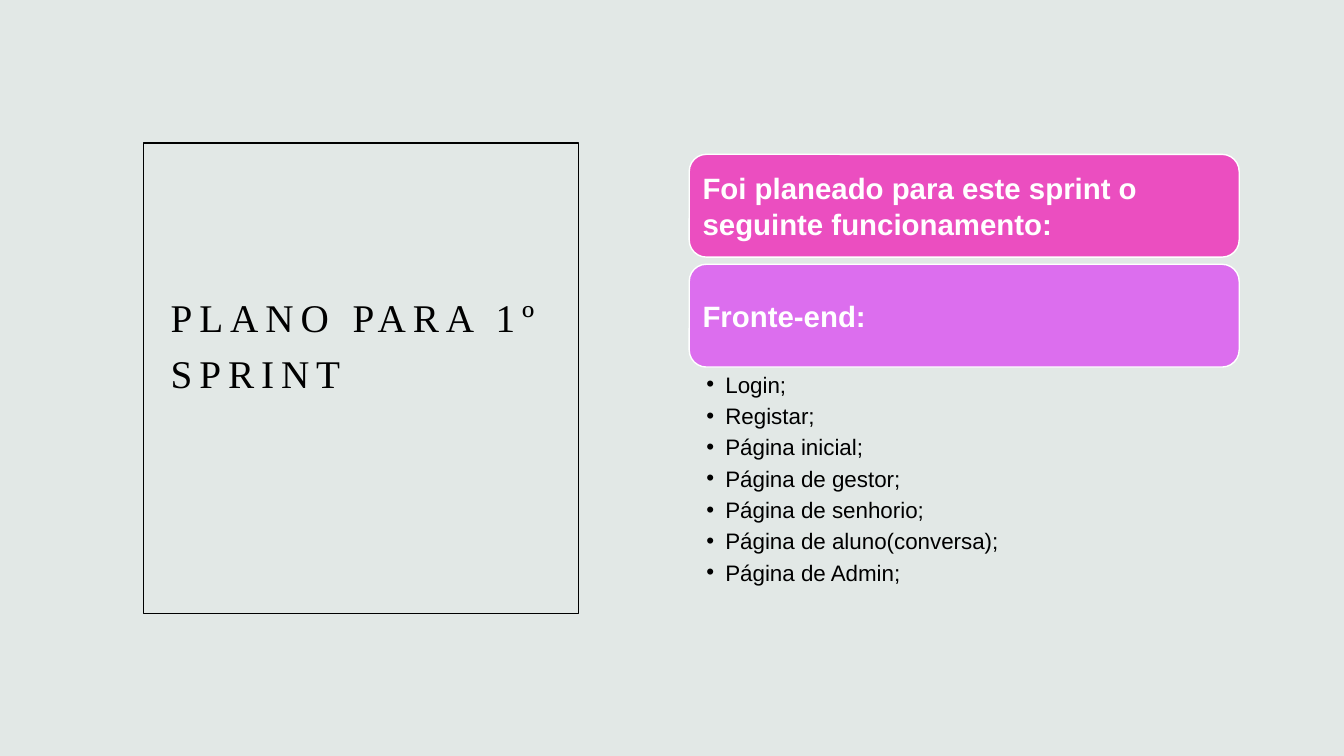
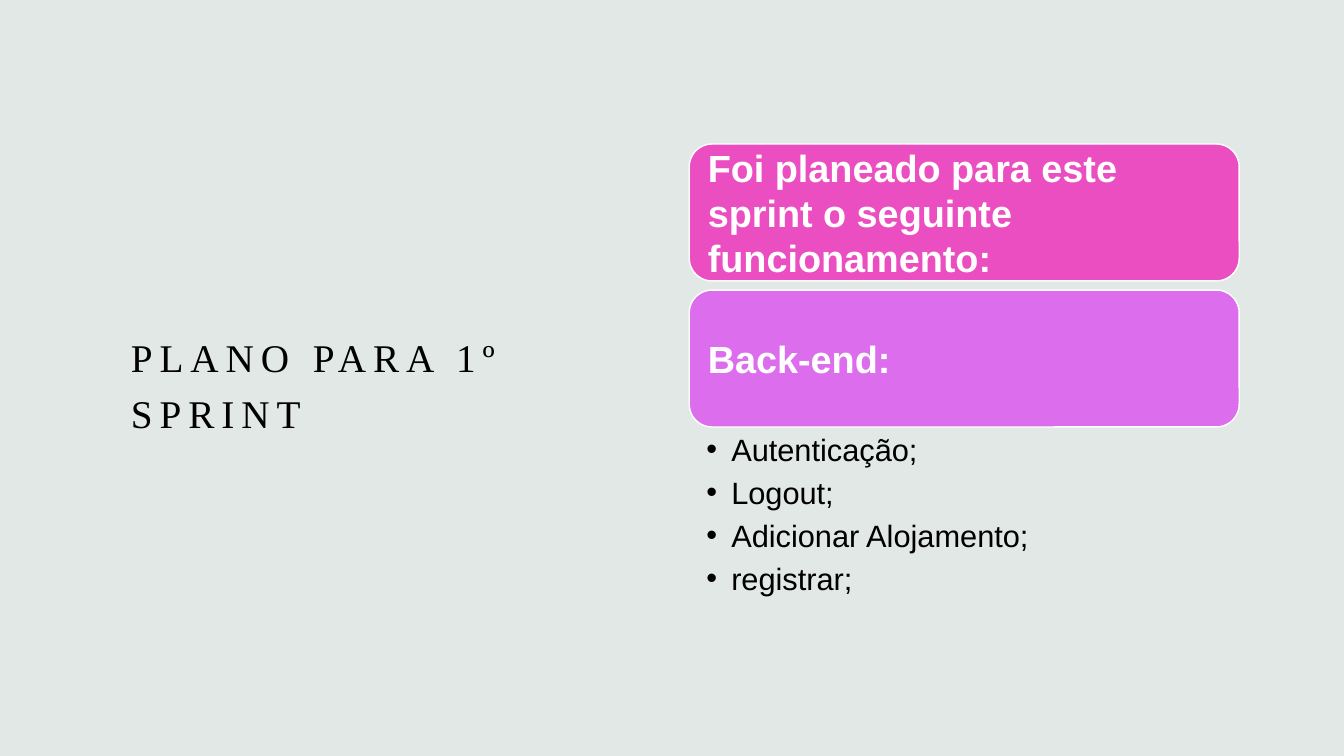
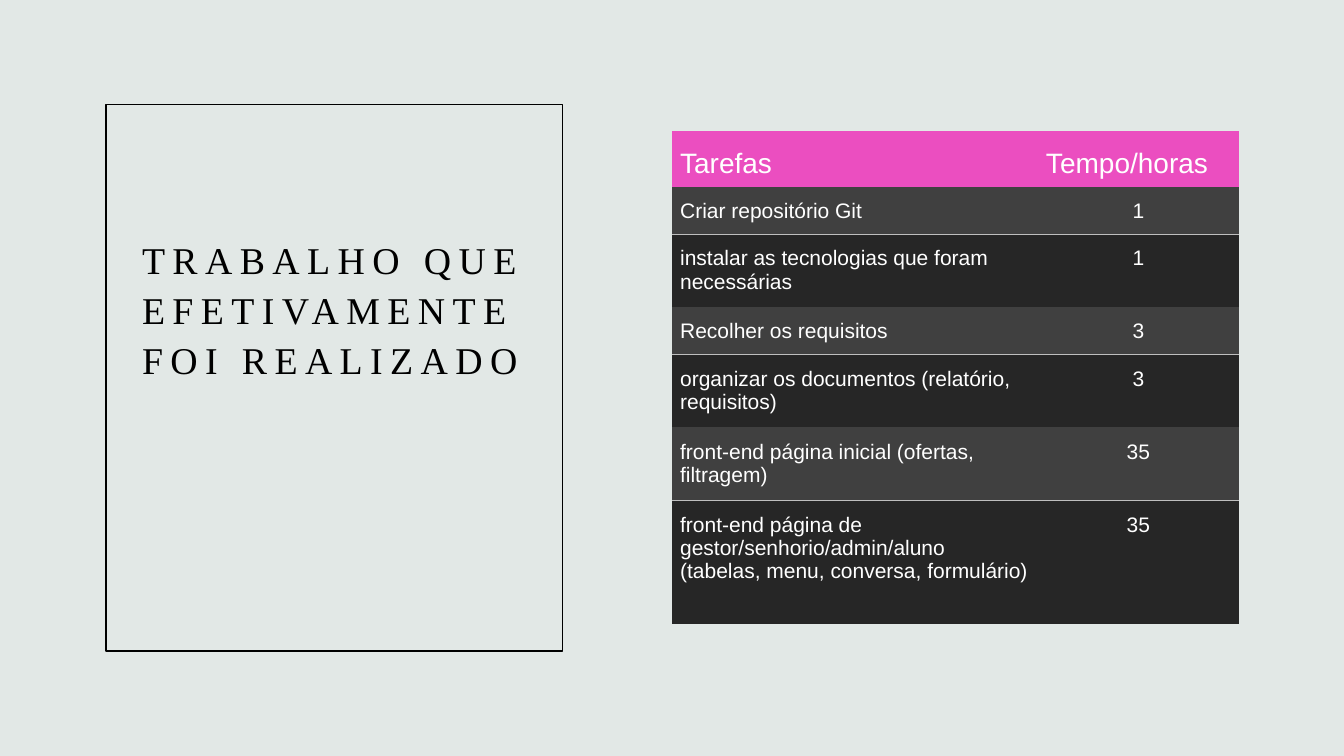
from dataclasses import dataclass

from lxml import etree
from pptx import Presentation
from pptx import util as u
from pptx.dml.color import RGBColor
from pptx.enum import shapes, text
from pptx.oxml import ns

Cm, Pt = u.Cm, u.Pt


@dataclass(frozen=True)
class Theme:
    background: str = "E2E8E6"
    ink: str = "000000"
    white: str = "FFFFFF"
    pink: str = "EB4EC0"
    violet: str = "DC6EEE"
    row_light: str = "404040"
    row_dark: str = "262626"
    rule: str = "BFBFBF"
    title_font: str = "Times New Roman"
    body_font: str = "Arial"
    title_size: float = 28
    small_title_size: float = 27
    card_size: float = 21
    large_card_size: float = 27
    list_size: float = 16
    large_list_size: float = 22
    head_size: float = 20
    cell_size: float = 15
    line_width: float = 1


T = Theme()
PANEL_LEFT, PANEL_WIDTH = 17.37, 13.86


def rgb(value):
    return RGBColor.from_string(value)


def add_run(p, content, size, color, font=T.body_font, bold=False):
    r = p.add_run()
    r.text = content
    r.font.size, r.font.name, r.font.bold = Pt(size), font, bold
    r.font.color.rgb = rgb(color)
    return r


def set_insets(frame, left, top, right, bottom):
    frame.margin_left, frame.margin_top = Cm(left), Cm(top)
    frame.margin_right, frame.margin_bottom = Cm(right), Cm(bottom)


def add_box(s, kind, place, fill, line):
    sp = s.shapes.add_shape(kind, *map(Cm, place))
    sp.shadow.inherit = False
    if fill:
        sp.fill.solid()
        sp.fill.fore_color.rgb = rgb(fill)
    else:
        sp.fill.background()
    sp.line.color.rgb = rgb(line)
    sp.line.width = Pt(T.line_width)
    return sp


def add_frame(s, *place):
    add_box(s, shapes.MSO_SHAPE.RECTANGLE, place, None, T.ink)


def add_textbox(s, *place):
    tf = s.shapes.add_textbox(*map(Cm, place)).text_frame
    tf.word_wrap = True
    return tf


def add_title(s, content, place, size=T.title_size, spacing=5, leading=1.2):
    """Letter-spaced serif title; spacing is in points."""
    tf = add_textbox(s, *place)
    tf.vertical_anchor = text.MSO_ANCHOR.MIDDLE
    p = tf.paragraphs[0]
    p.line_spacing = leading
    r = add_run(p, content, size, T.ink, T.title_font)
    r._r.get_or_add_rPr().set("spc", str(int(spacing * 100)))


def add_card(s, content, top, height, fill, size, inset):
    place = (PANEL_LEFT, top, PANEL_WIDTH, height)
    sp = add_box(s, shapes.MSO_SHAPE.ROUNDED_RECTANGLE, place, fill, T.white)
    tf = sp.text_frame
    tf.word_wrap = True
    tf.vertical_anchor = text.MSO_ANCHOR.MIDDLE
    set_insets(tf, inset, 0, inset, 0)
    p = tf.paragraphs[0]
    p.alignment = text.PP_ALIGN.LEFT
    add_run(p, content, size, T.white, bold=True)


def add_bullets(s, items, top, height, size, indent):
    tf = add_textbox(s, PANEL_LEFT, top, PANEL_WIDTH, height)
    set_insets(tf, 0.43, 0.09, 0.43, 0.09)
    for i, item in enumerate(items):
        p = tf.add_paragraph() if i else tf.paragraphs[0]
        p.space_after = Pt(size * 0.2)
        pPr = p._p.get_or_add_pPr()
        pPr.set("marL", str(Cm(indent)))
        pPr.set("indent", str(-Cm(indent)))
        etree.SubElement(pPr, ns.qn("a:buFont")).set("typeface", T.body_font)
        etree.SubElement(pPr, ns.qn("a:buChar")).set("char", "•")
        add_run(p, item, size, T.ink)


def add_plan(s, heading, items, top, card_height, gap, card_size, inset,
             list_height, list_size, indent):
    """Two stacked cards with a bulleted list directly below."""
    cards = (("Foi planeado para este sprint o seguinte funcionamento:", T.pink),
             (heading, T.violet))
    for i, (content, fill) in enumerate(cards):
        add_card(s, content, top + i * (card_height + gap), card_height,
                 fill, card_size, inset)
    add_bullets(s, items, top + 2 * card_height + gap, list_height, list_size, indent)


def set_borders(cell, ruled):
    """Rule the named edges (such as "T") and clear the others."""
    tcPr = cell._tc.get_or_add_tcPr()
    for edge in "LRTB":
        ln = etree.SubElement(tcPr, ns.qn("a:ln" + edge), w=str(Pt(T.line_width)))
        if edge in ruled:
            fill = etree.SubElement(ln, ns.qn("a:solidFill"))
            etree.SubElement(fill, ns.qn("a:srgbClr")).set("val", T.rule)
        else:
            etree.SubElement(ln, ns.qn("a:noFill"))


def fill_cell(cell, content, row, col):
    header = row == 0
    light = row % 2 == 1
    set_borders(cell, "" if header else "B" if light else "T")
    cell.fill.solid()
    cell.fill.fore_color.rgb = rgb(
        T.pink if header else T.row_light if light else T.row_dark)
    set_insets(cell, 0.2, 0.32, 0.2, 0.1)
    cell.vertical_anchor = text.MSO_ANCHOR.MIDDLE if header else text.MSO_ANCHOR.TOP
    p = cell.text_frame.paragraphs[0]
    if col and not header:
        p.alignment = text.PP_ALIGN.CENTER
    add_run(p, content, T.head_size if header else T.cell_size, T.white)


def add_task_table(s, rows, left, top, widths, heights):
    place = (left, top, sum(widths), sum(heights))
    tbl = s.shapes.add_table(len(rows), len(widths), *map(Cm, place)).table
    tbl.first_row = tbl.horz_banding = False
    for column, width in zip(tbl.columns, widths):
        column.width = Cm(width)
    for i, (values, height) in enumerate(zip(rows, heights)):
        tbl.rows[i].height = Cm(height)
        for j, value in enumerate(values):
            fill_cell(tbl.cell(i, j), value, i, j)


def front_end_slide(s):
    add_frame(s, 3.61, 3.6, 10.97, 11.86)
    add_title(s, "PLANO PARA 1º SPRINT", (4.05, 5.49, 10.08, 6.15))
    items = ("Login;", "Registar;", "Página inicial;", "Página de gestor;",
             "Página de senhorio;", "Página de aluno(conversa);", "Página de Admin;")
    add_plan(s, "Fronte-end:", items, top=3.89, card_height=2.59, gap=0.18,
             card_size=T.card_size, inset=0.21,
             list_height=5.92, list_size=T.list_size, indent=0.48)


def back_end_slide(s):
    add_title(s, "PLANO PARA 1º SPRINT", (3.05, 6.5, 10.08, 6.15))
    items = ("Autenticação;", "Logout;", "Adicionar Alojamento;", "registrar;")
    add_plan(s, "Back-end:", items, top=3.63, card_height=3.45, gap=0.23,
             card_size=T.large_card_size, inset=0.3,
             list_height=4.67, list_size=T.large_list_size, indent=0.63)


def work_done_slide(s):
    add_frame(s, 2.67, 2.64, 11.51, 13.77)
    add_title(s, "TRABALHO QUE EFETIVAMENTE FOI REALIZADO", (3.33, 4.9, 10.4, 5.66),
              T.small_title_size, spacing=5.3, leading=1.1)
    rows = (
        ("Tarefas", "Tempo/horas"),
        ("Criar repositório Git", "1"),
        ("instalar as tecnologias que foram necessárias", "1"),
        ("Recolher os requisitos", "3"),
        ("organizar os documentos (relatório, requisitos)", "3"),
        ("front-end página inicial (ofertas, filtragem)", "35"),
        ("front-end página de gestor/senhorio/admin/aluno "
         "(tabelas, menu, conversa, formulário)", "35"),
    )
    add_task_table(s, rows, 16.94, 3.3, (9.22, 5.06),
                   (1.41, 1.19, 1.84, 1.19, 1.84, 1.84, 3.12))


def main():
    prs = Presentation()
    prs.slide_width, prs.slide_height = Cm(33.87), Cm(19.05)
    background = prs.slide_master.background.fill
    background.solid()
    background.fore_color.rgb = rgb(T.background)
    for build in (front_end_slide, back_end_slide, work_done_slide):
        build(prs.slides.add_slide(prs.slide_layouts[6]))
    prs.save("out.pptx")


if __name__ == "__main__":
    main()
